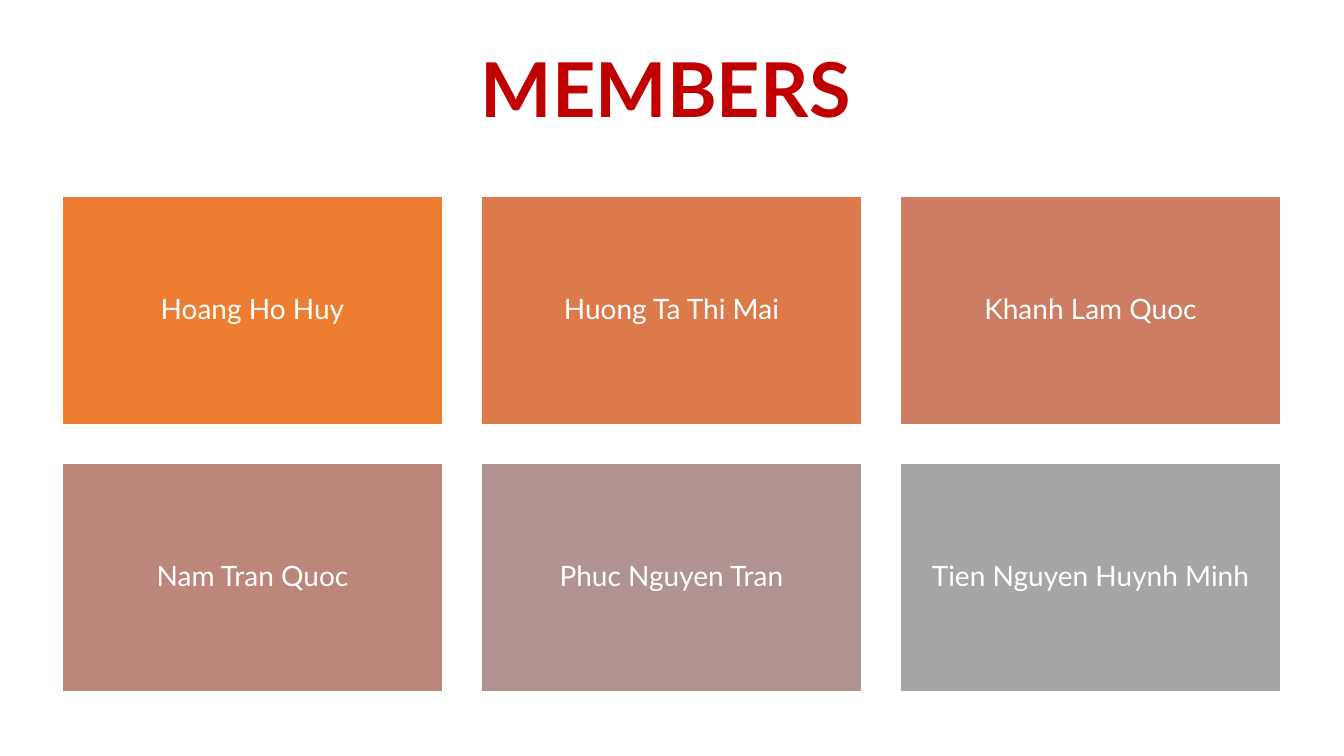
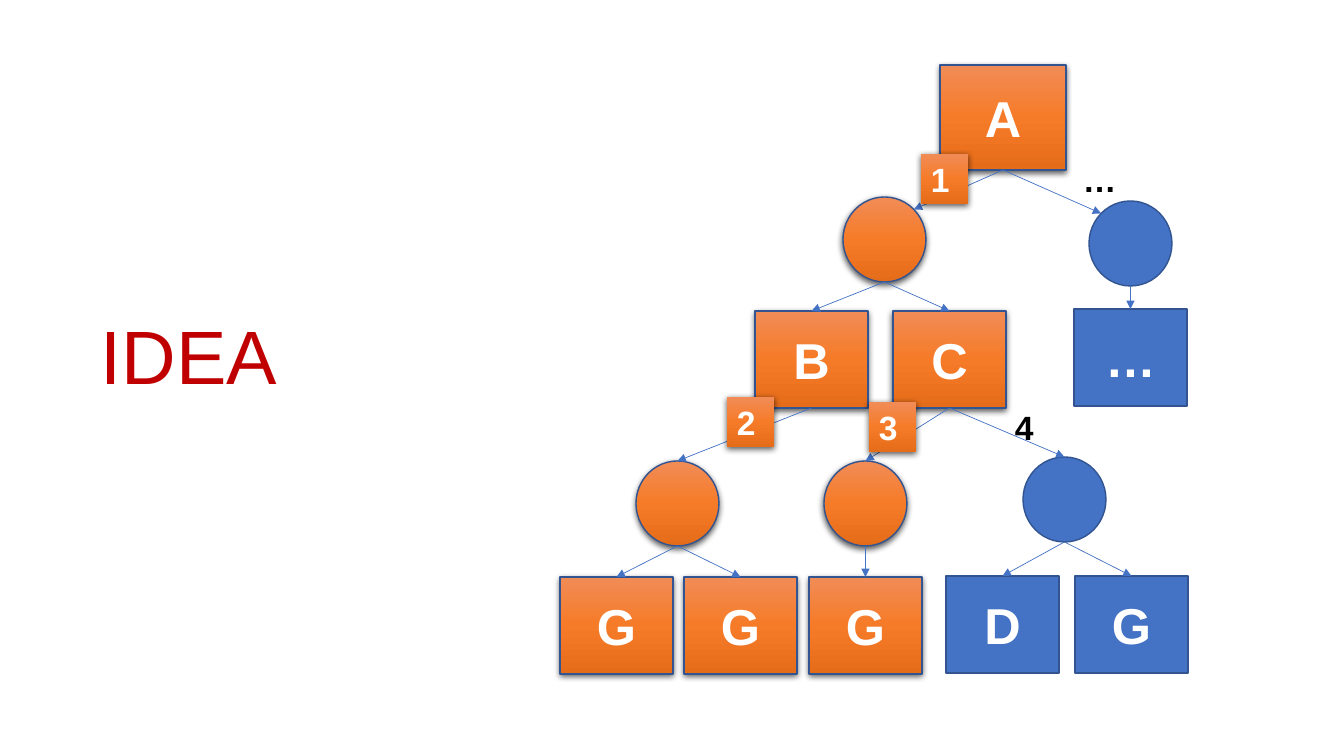
from copy import deepcopy
from math import cos, radians, sin

from lxml.etree import SubElement
from pptx import Presentation
from pptx.dml.color import RGBColor
from pptx.enum.shapes import MSO_CONNECTOR, MSO_SHAPE
from pptx.enum.text import MSO_ANCHOR, MSO_AUTO_SIZE, PP_ALIGN
from pptx.oxml.ns import qn
from pptx.util import Emu, Pt

EMU_PER_PX = 914400 / 100.8
TOP, BOTTOM = 0, 2
RED, WHITE, BLACK = "C00000", "FFFFFF", "000000"
BLUE, DARK_BLUE = "4472C4", "325491"
ORANGE_STOPS = ((0, "F18C57"), (0.5, "F67B28"), (1, "E56C19"))


def px(length):
    return Emu(round(length * EMU_PER_PX))


def color(hex_string):
    return RGBColor.from_string(hex_string)


def rim_point(circle, degrees):
    """Point on a circle's rim; 0 is right, 90 is bottom."""
    angle = radians(degrees)
    return (Emu(round(circle.left + circle.width / 2 * (1 + cos(angle)))),
            Emu(round(circle.top + circle.height / 2 * (1 + sin(angle)))))


class Deck:
    def __init__(self):
        self.presentation = Presentation()
        self.presentation.slide_width = px(1344)
        self.presentation.slide_height = px(756)
        self.slide = None

    def add_slide(self):
        self.slide = self.presentation.slides.add_slide(self.presentation.slide_layouts[6])

    def set_text(self, shape, text, size, font="Arial", ink=WHITE, bold=True,
                 align=PP_ALIGN.LEFT, anchor=MSO_ANCHOR.TOP, spacing=None):
        frame = shape.text_frame
        frame.text = text
        frame.word_wrap = True
        frame.vertical_anchor = anchor
        paragraph = frame.paragraphs[0]
        paragraph.alignment = align
        paragraph.line_spacing = spacing
        for run in paragraph.runs:
            run.font.name = font
            run.font.size = Pt(size)
            run.font.bold = bold
            run.font.color.rgb = color(ink)
        return frame

    def text_box(self, box, text, size, **style):
        shape = self.slide.shapes.add_textbox(*map(px, box))
        return self.set_text(shape, text, size, **style)

    def title(self, box, text, **style):
        return self.text_box(box, text, 54, ink=RED, **style)

    def shape(self, kind, box, fill=None, line=None):
        """Preset shape; without a fill colour it gets the glowing orange."""
        shape = self.slide.shapes.add_shape(kind, *map(px, box))
        shape.shadow.inherit = False
        if fill:
            shape.fill.solid()
            shape.fill.fore_color.rgb = color(fill)
        else:
            self.glow(shape)
        if line:
            shape.line.color.rgb = color(line)
            shape.line.width = Pt(1)
        else:
            shape.line.fill.background()
        return shape

    def glow(self, shape):
        """Orange gradient from top to bottom with a soft shadow."""
        shape.fill.gradient()
        shape.fill.gradient_angle = 270
        stop_list = shape.element.spPr.find(".//" + qn("a:gsLst"))
        stop_list.insert(1, deepcopy(stop_list[0]))
        for stop, (position, shade) in zip(shape.fill.gradient_stops, ORANGE_STOPS):
            stop.position = position
            stop.color.rgb = color(shade)
        effects = shape.element.spPr.find(qn("a:effectLst"))
        shadow = SubElement(effects, qn("a:outerShdw"), blurRad="57150", dist="19050",
                            dir="5400000", algn="ctr", rotWithShape="0")
        black = SubElement(shadow, qn("a:srgbClr"), val=BLACK)
        SubElement(black, qn("a:alpha"), val="63000")

    def card(self, box, name, fill):
        shape = self.shape(MSO_SHAPE.RECTANGLE, box, fill, WHITE)
        frame = self.set_text(shape, name, 20, font="Lato", bold=False, spacing=0.9,
                              align=PP_ALIGN.CENTER, anchor=MSO_ANCHOR.MIDDLE)
        frame.margin_left = frame.margin_right = px(8)
        frame.margin_top = frame.margin_bottom = px(8)

    def node(self, left, top, letter, fill=None, width=113, height=97):
        shape = self.shape(MSO_SHAPE.RECTANGLE, (left, top, width, height), fill, DARK_BLUE)
        self.set_text(shape, letter, 36, align=PP_ALIGN.CENTER, anchor=MSO_ANCHOR.MIDDLE)
        return shape

    def circle(self, left, top, fill=None):
        return self.shape(MSO_SHAPE.OVAL, (left, top, 83, 85), fill, DARK_BLUE)

    def badge(self, left, top, text):
        shape = self.shape(MSO_SHAPE.RECTANGLE, (left, top, 47, 50))
        self.set_text(shape, text, 24)

    def arrow(self, start, end):
        connector = self.slide.shapes.add_connector(MSO_CONNECTOR.STRAIGHT, *start, *end)
        connector.line.color.rgb = color(BLUE)
        connector.line.width = Pt(0.5)
        properties = connector.element.spPr
        SubElement(properties.find(qn("a:ln")), qn("a:tailEnd"), type="triangle")
        SubElement(properties, qn("a:effectLst"))
        return connector

    def arrow_to_circle(self, node, circle, degrees=270):
        rim = rim_point(circle, degrees)
        self.arrow(rim, rim).begin_connect(node, BOTTOM)

    def arrow_to_node(self, circle, node):
        rim = rim_point(circle, 90)
        self.arrow(rim, rim).end_connect(node, TOP)


def members_slide(deck):
    deck.add_slide()
    members = (("Hoang Ho Huy", "ED7D31"), ("Huong Ta Thi Mai", "DC7A4B"),
               ("Khanh Lam Quoc", "CC7D64"), ("Nam Tran Quoc", "BD867B"),
               ("Phuc Nguyen Tran", "B09391"), ("Tien Nguyen Huynh Minh", "A5A5A5"))
    for index, (name, fill) in enumerate(members):
        row, column = divmod(index, 3)
        deck.card((62 + 419 * column, 196 + 267 * row, 381, 229), name, fill)
    frame = deck.title((471, 37, 403, 102), "MEMBERS", font="Lato")
    frame.word_wrap = False
    frame.auto_size = MSO_AUTO_SIZE.SHAPE_TO_FIT_TEXT


def idea_slide(deck):
    deck.add_slide()
    deck.title((91, 314, 571, 146), "IDEA", bold=False, spacing=0.9)

    node_a = deck.node(940, 65, "A", width=126, height=105)
    node_b, node_c = (deck.node(left, 311, letter) for left, letter in ((755, "B"), (893, "C")))
    goals = [deck.node(left, 577, "G") for left in (560, 684, 809)]
    node_more = deck.node(1074, 309, "…", BLUE)
    node_d, node_g = (deck.node(left, 576, letter, BLUE)
                      for left, letter in ((946, "D"), (1075, "G")))

    circle_1 = deck.circle(843, 197)
    circle_2, circle_3 = (deck.circle(left, 461) for left in (636, 824))
    circle_4 = deck.circle(1023, 457, BLUE)
    circle_more = deck.circle(1089, 201, BLUE)

    deck.arrow_to_circle(node_a, circle_1, 315)
    deck.arrow_to_circle(node_a, circle_more, 225)
    for node, circle in ((node_b, circle_2), (node_c, circle_3), (node_c, circle_4)):
        deck.arrow_to_circle(node, circle)
    children = ((circle_1, (node_b, node_c)), (circle_2, goals[:2]), (circle_3, goals[2:]),
                (circle_4, (node_d, node_g)), (circle_more, (node_more,)))
    for circle, nodes in children:
        for node in nodes:
            deck.arrow_to_node(circle, node)

    for left, top, text in ((921, 154, "1"), (727, 397, "2"), (869, 402, "3")):
        deck.badge(left, top, text)
    for box, text in (((1073, 154, 54, 50), "…"), ((1005, 402, 47, 50), "4")):
        deck.text_box(box, text, 24, ink=BLACK)


def main():
    deck = Deck()
    members_slide(deck)
    idea_slide(deck)
    deck.presentation.save("out.pptx")


if __name__ == "__main__":
    main()
